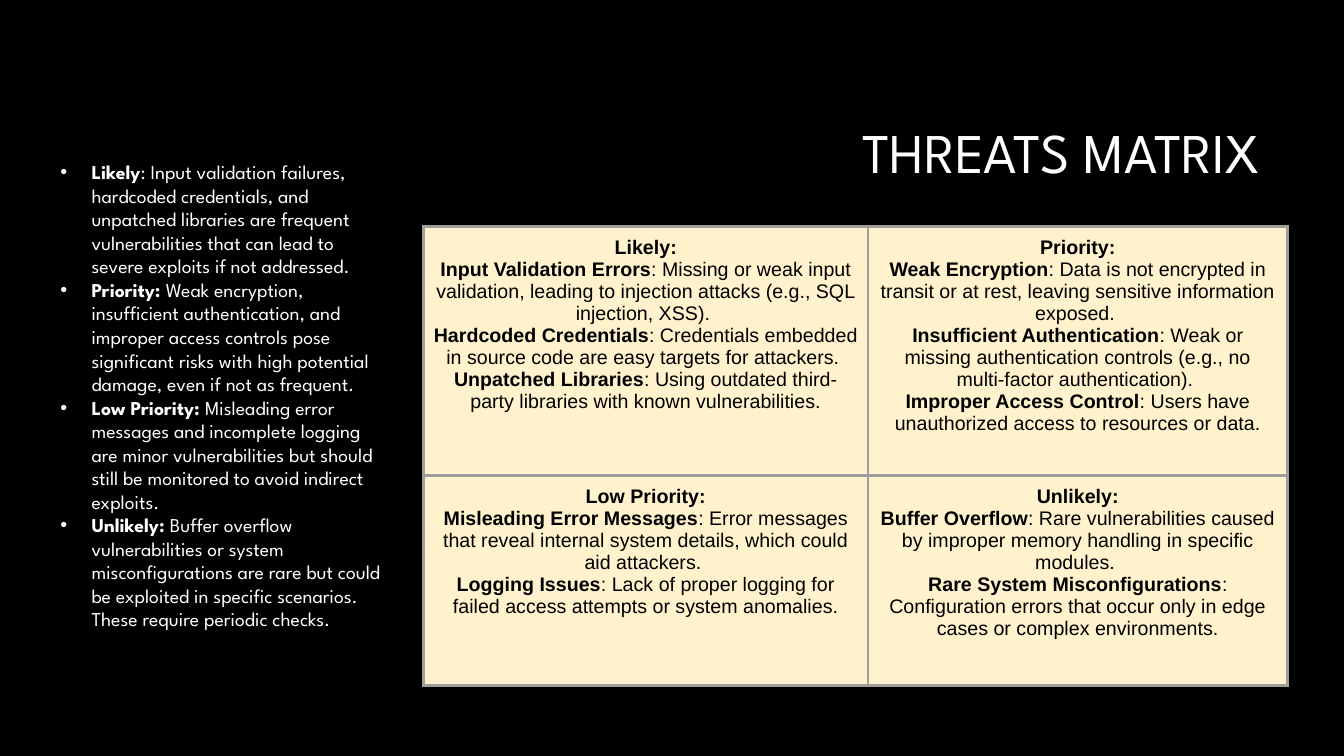
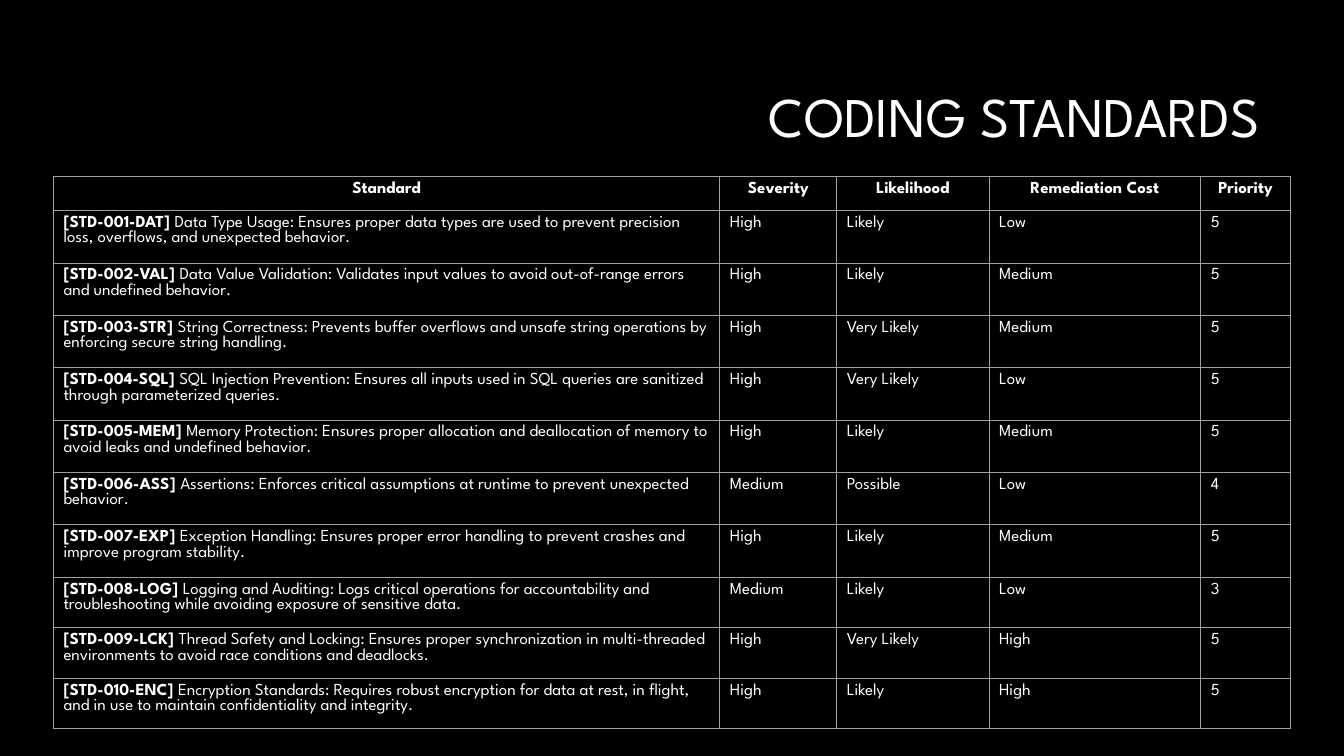
import pptx
import pptx.util
import pptx.dml.color
import pptx.enum.text
import pptx.oxml
import pptx.oxml.ns
from pptx.util import Inches, Pt

ALIGN = pptx.enum.text.PP_ALIGN
ANCHOR = pptx.enum.text.MSO_ANCHOR
AUTO_SIZE = pptx.enum.text.MSO_AUTO_SIZE

BLACK, WHITE, GREY, CREAM = "000000", "FFFFFF", "9E9E9E", "FFF2CC"
DISPLAY = "League Spartan"
TITLE_FORMAT = {"name": DISPLAY, "size": Pt(40), "bold": False}
BULLET_FORMAT = {"name": DISPLAY, "size": Pt(14)}
MATRIX_FORMAT = {"name": "Arial", "size": Pt(14)}
STANDARD_FORMAT = {"name": DISPLAY, "size": Pt(12)}

SUMMARY = [
    ("Likely", ": Input validation failures, hardcoded credentials, and unpatched libraries are "
     "frequent vulnerabilities that can lead to severe exploits if not addressed."),
    ("Priority: ", "Weak encryption, insufficient authentication, and improper access controls "
     "pose significant risks with high potential damage, even if not as frequent."),
    ("Low Priority: ", "Misleading error messages and incomplete logging are minor "
     "vulnerabilities but should still be monitored to avoid indirect exploits."),
    ("Unlikely: ", "Buffer overflow vulnerabilities or system misconfigurations are rare but "
     "could be exploited in specific scenarios. These require periodic checks."),
]

THREATS = [
    [
        ("Likely:", [
            ("Input Validation Errors", ": Missing or weak input validation, leading to "
             "injection attacks (e.g., SQL injection, XSS). "),
            ("Hardcoded Credentials", ": Credentials embedded in source code are easy targets "
             "for attackers. "),
            ("Unpatched Libraries", ": Using outdated third-party libraries with known "
             "vulnerabilities."),
        ]),
        ("Priority:", [
            ("Weak Encryption", ": Data is not encrypted in transit or at rest, leaving "
             "sensitive information exposed. "),
            ("Insufficient Authentication", ": Weak or missing authentication controls (e.g., "
             "no multi-factor authentication). "),
            ("Improper Access Control", ": Users have unauthorized access to resources or data."),
        ]),
    ],
    [
        ("Low Priority:", [
            ("Misleading Error Messages", ": Error messages that reveal internal system "
             "details, which could aid attackers. "),
            ("Logging Issues", ": Lack of proper logging for failed access attempts or system "
             "anomalies."),
        ]),
        ("Unlikely:", [
            ("Buffer Overflow", ": Rare vulnerabilities caused by improper memory handling in "
             "specific modules. "),
            ("Rare System Misconfigurations", ": Configuration errors that occur only in edge "
             "cases or complex environments."),
        ]),
    ],
]

HEADINGS = ["Standard", "Severity", "Likelihood", "Remediation Cost", "Priority"]
STANDARDS = [
    ("[STD-001-DAT] ", "Data Type Usage: Ensures proper data types are used to prevent "
     "precision loss, overflows, and unexpected behavior.", "High", "Likely", "Low", "5"),
    ("[STD-002-VAL] ", "Data Value Validation: Validates input values to avoid out-of-range "
     "errors and undefined behavior.", "High", "Likely", "Medium", "5"),
    ("[STD-003-STR] ", "String Correctness: Prevents buffer overflows and unsafe string "
     "operations by enforcing secure string handling.", "High", "Very Likely", "Medium", "5"),
    ("[STD-004-SQL] ", "SQL Injection Prevention: Ensures all inputs used in SQL queries are "
     "sanitized through parameterized queries.", "High", "Very Likely", "Low", "5"),
    ("[STD-005-MEM] ", "Memory Protection: Ensures proper allocation and deallocation of memory "
     "to avoid leaks and undefined behavior.", "High", "Likely", "Medium", "5"),
    ("[STD-006-ASS] ", "Assertions: Enforces critical assumptions at runtime to prevent "
     "unexpected behavior.", "Medium", "Possible", "Low", "4"),
    ("[STD-007-EXP] ", "Exception Handling: Ensures proper error handling to prevent crashes "
     "and improve program stability.", "High", "Likely", "Medium", "5"),
    ("[STD-008-LOG] ", "Logging and Auditing: Logs critical operations for accountability and "
     "troubleshooting while avoiding exposure of sensitive data.",
     "Medium", "Likely", "Low", "3"),
    ("[STD-009-LCK] ", "Thread Safety and Locking: Ensures proper synchronization in "
     "multi-threaded environments to avoid race conditions and deadlocks.",
     "High", "Very Likely", "High", "5"),
    ("[STD-010-ENC] ", "Encryption Standards: Requires robust encryption for data at rest, in "
     "flight, and in use to maintain confidentiality and integrity.",
     "High", "Likely", "High", "5"),
]


def rgb(hex_color):
    return pptx.dml.color.RGBColor.from_string(hex_color)


def apply(target, formats):
    for attribute, value in formats.items():
        setattr(target, attribute, value)


def add_run(paragraph, text, color, formats, bold=False):
    run = paragraph.add_run()
    run.text = text
    apply(run.font, {**formats, "bold": bold})
    run.font.color.rgb = rgb(color)


def add_term(paragraph, term, detail, color, formats):
    """Write a bold term followed by its plain explanation."""
    add_run(paragraph, term, color, formats, bold=True)
    add_run(paragraph, detail, color, formats)


def add_xml(parent, tag, **attributes):
    child = pptx.oxml.parse_xml(f"<a:{tag} {pptx.oxml.ns.nsdecls('a')}/>")
    for key, value in attributes.items():
        child.set(key, str(value))
    parent.append(child)
    return child


def add_title(slide, text, top):
    title = slide.shapes.add_textbox(Inches(3.17), Inches(top), Inches(9.42), Inches(1.41))
    apply(title.text_frame, {"word_wrap": True, "vertical_anchor": ANCHOR.MIDDLE})
    paragraph = title.text_frame.paragraphs[0]
    apply(paragraph, {"alignment": ALIGN.RIGHT, "line_spacing": 0.9})
    add_run(paragraph, text, WHITE, TITLE_FORMAT)


def add_grid(slide, left, top, widths, heights, border):
    """Add an unstyled table whose cells all have the same grey border, in points."""
    frame = slide.shapes.add_table(len(heights), len(widths), Inches(left), Inches(top),
                                   Inches(sum(widths)), Inches(sum(heights)))
    table = frame.table
    apply(table, {"first_row": False, "horz_banding": False})
    for column, width in zip(table.columns, widths):
        column.width = Inches(width)
    for row, height in zip(table.rows, heights):
        row.height = Inches(height)
    for cell in table.iter_cells():
        properties = cell._tc.get_or_add_tcPr()
        for side in ("lnL", "lnR", "lnT", "lnB"):
            line = add_xml(properties, side, w=Pt(border))
            add_xml(add_xml(line, "solidFill"), "srgbClr", val=GREY)
        cell.fill.background()
    return table


def add_summary(slide, left, top, width, height):
    summary = slide.shapes.add_textbox(Inches(left), Inches(top), Inches(width), Inches(height))
    frame = summary.text_frame
    apply(frame, {"word_wrap": True, "auto_size": AUTO_SIZE.SHAPE_TO_FIT_TEXT})
    for index, (term, detail) in enumerate(SUMMARY):
        paragraph = frame.add_paragraph() if index else frame.paragraphs[0]
        properties = paragraph._p.get_or_add_pPr()
        properties.set("marL", str(Inches(0.31)))
        properties.set("indent", str(-Inches(0.31)))
        add_xml(add_xml(properties, "buClr"), "srgbClr", val=WHITE)
        add_xml(properties, "buFont", typeface="Arial")
        add_xml(properties, "buChar", char="•")
        paragraph.line_spacing = Pt(16.8)
        add_term(paragraph, term, detail, WHITE, BULLET_FORMAT)


def add_threat_matrix(slide, left, top):
    table = add_grid(slide, left, top, [4.41, 4.16], [2.47, 2.08], 2.25)
    margins = dict.fromkeys(
        ("margin_left", "margin_right", "margin_top", "margin_bottom"), Inches(0.1))
    for row, quadrants in enumerate(THREATS):
        for column, (heading, threats) in enumerate(quadrants):
            cell = table.cell(row, column)
            apply(cell, margins)
            cell.fill.solid()
            cell.fill.fore_color.rgb = rgb(CREAM)
            title = cell.text_frame.paragraphs[0]
            body = cell.text_frame.add_paragraph()
            title.alignment = body.alignment = ALIGN.CENTER
            add_run(title, heading, BLACK, MATRIX_FORMAT, bold=True)
            for index, (term, detail) in enumerate(threats):
                if index:
                    body.add_line_break()
                add_term(body, term, detail, BLACK, MATRIX_FORMAT)


def add_standards_table(slide, left, top):
    heights = [0.34] + [0.52] * 7 + [0.34] * 3
    table = add_grid(slide, left, top, [6.61, 1.16, 1.51, 2.1, 0.89], heights, 0.75)
    for column, heading in enumerate(HEADINGS):
        paragraph = table.cell(0, column).text_frame.paragraphs[0]
        paragraph.alignment = ALIGN.CENTER
        add_run(paragraph, heading, WHITE, STANDARD_FORMAT, bold=True)
    for row, (code, rule, *ratings) in enumerate(STANDARDS, start=1):
        standard = table.cell(row, 0).text_frame.paragraphs[0]
        add_term(standard, code, rule, WHITE, STANDARD_FORMAT)
        for column, rating in enumerate(ratings, start=1):
            add_run(table.cell(row, column).text_frame.paragraphs[0], rating, WHITE,
                    STANDARD_FORMAT)


def build_threats_slide(slide):
    add_title(slide, "THREATS MATRIX", top=0.84)
    add_threat_matrix(slide, 4.2, 2.25)
    add_summary(slide, 0.5, 1.54, 3.4, 5.76)


def build_standards_slide(slide):
    add_title(slide, "CODING STANDARDS", top=0.48)
    add_standards_table(slide, 0.53, 1.75)


def main():
    deck = pptx.Presentation()
    apply(deck, {"slide_width": Inches(13.33), "slide_height": Inches(7.5)})
    backdrop = deck.slide_master.background.fill
    backdrop.solid()
    backdrop.fore_color.rgb = rgb(BLACK)
    for build in (build_threats_slide, build_standards_slide):
        build(deck.slides.add_slide(deck.slide_layouts[6]))
    deck.save("out.pptx")


if __name__ == "__main__":
    main()
